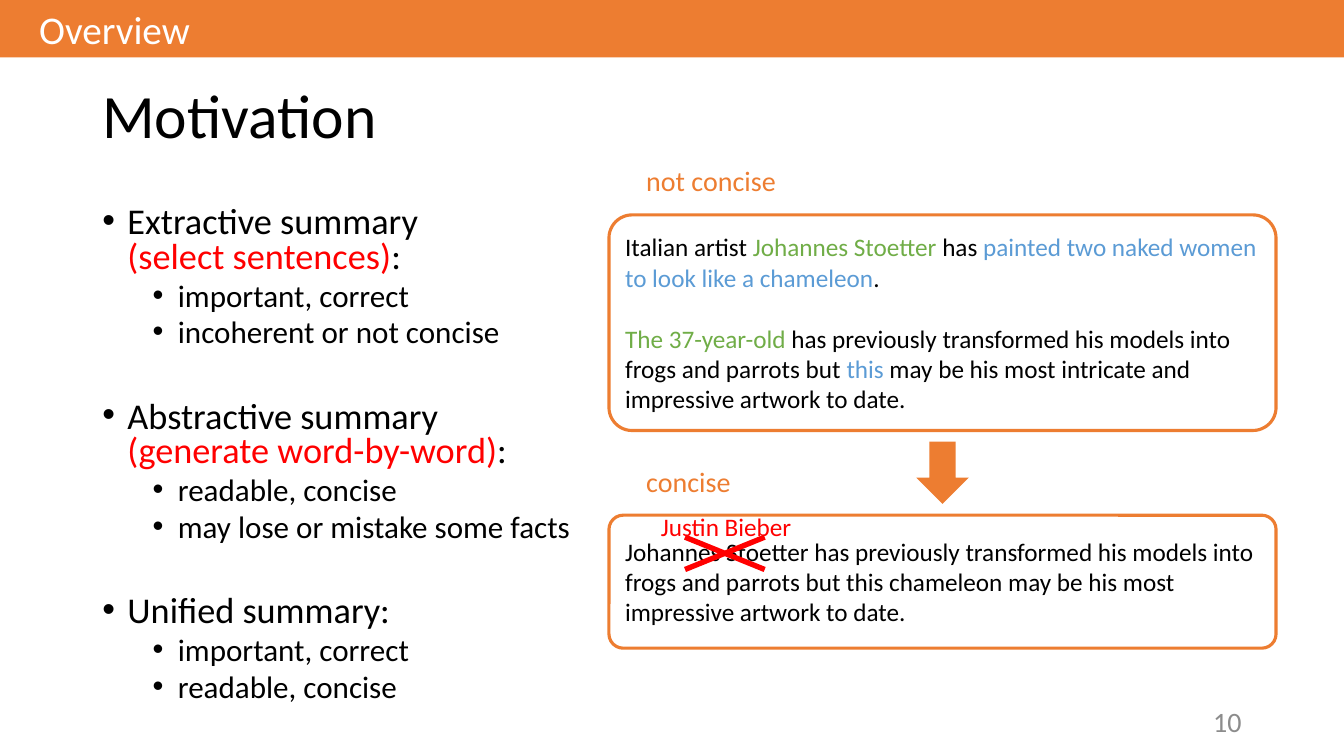
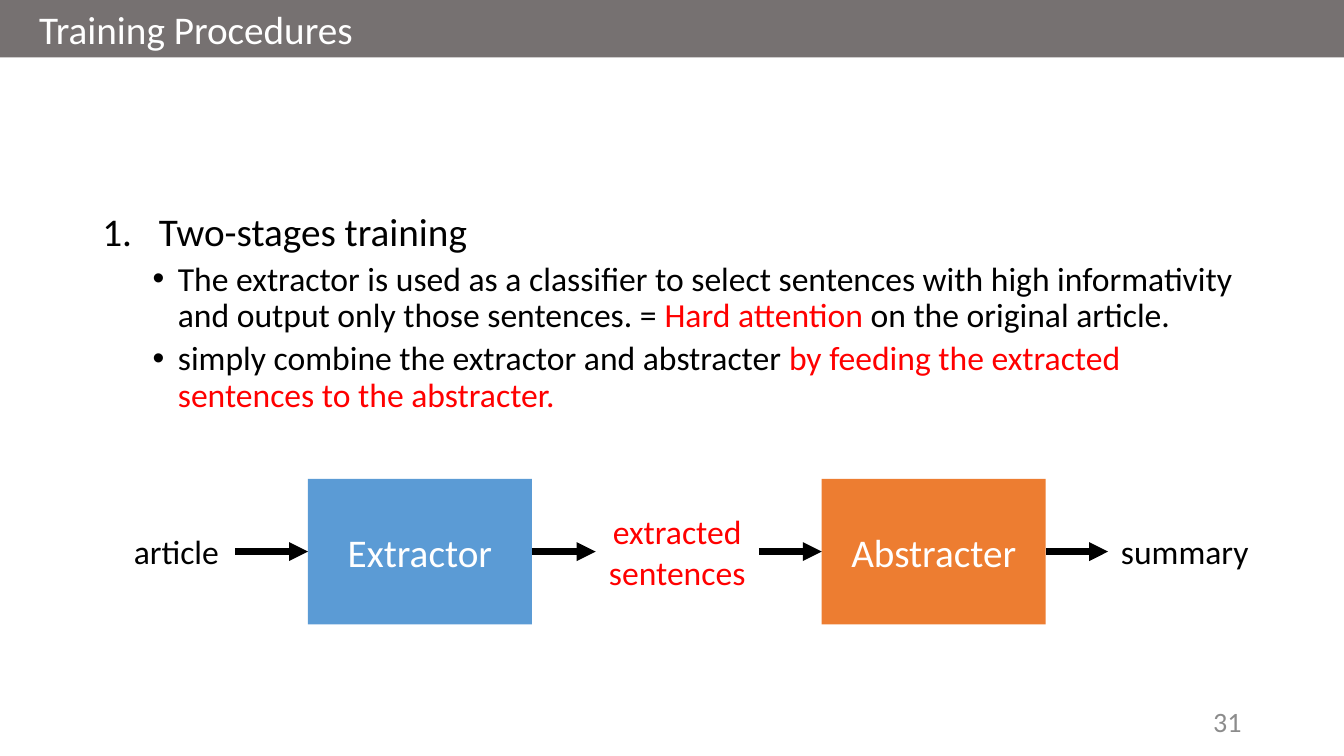
from lxml.etree import SubElement
from pptx import Presentation
from pptx.dml.color import RGBColor
from pptx.enum.shapes import MSO_CONNECTOR, MSO_SHAPE
from pptx.enum.text import MSO_ANCHOR, PP_ALIGN
from pptx.oxml.ns import qn
from pptx.util import Pt

FONT = "Calibri"
COLORS = {
    "black": "000000", "white": "FFFFFF", "red": "FF0000", "orange": "ED7D31",
    "blue": "5B9BD5", "green": "70AD47", "gray": "767171", "number": "8C8C8C",
}
WIDTH, HEIGHT = 960, 540

# Content: a paragraph is a string or a list of strings and (text, color) runs
SUMMARY_TYPES = [
    (["Extractive summary\n", ("(select sentences)", "red"), ":"],
     ["important, correct", "incoherent or not concise"]),
    (["Abstractive summary\n", ("(generate word-by-word)", "red"), ":"],
     ["readable, concise", "may lose or mistake some facts"]),
    ("Unified summary:", ["important, correct", "readable, concise"]),
]
EXAMPLES = [
    # label, label top, box top, box height, paragraphs
    ("not concise", 113, 153.5, 154, [
        ["Italian artist ", ("Johannes Stoetter ", "green"), "has ",
         ("painted two naked women to look like a chameleon", "blue"), "."],
        [("The 37-year-old ", "green"),
         "has previously transformed his models into frogs and parrots but ",
         ("this", "blue"),
         " may be his most intricate and impressive artwork to date."],
    ]),
    ("concise", 328.5, 368, 95, [
        "Johannes Stoetter has previously transformed his models into frogs "
        "and parrots but this chameleon may be his most impressive artwork to date.",
    ]),
]
TRAINING = [
    ("Two-stages training", [
        ["The extractor is used as a classiﬁer to select sentences with high "
         "informativity and output only those sentences. = ",
         ("Hard attention ", "red"), "on the original article."],
        ["simply combine the extractor and abstracter ",
         ("by feeding the extracted sentences to the abstracter.", "red")],
    ]),
]
FLOW = [
    # text, left, width, height, fill, text color
    ("article", 84, 84, 36, None, "black"),
    ("Extractor", 220, 160, 104, "blue", "white"),
    ("extracted sentences", 425.5, 116.5, 66, None, "red"),
    ("Abstracter", 587, 160, 104, "orange", "white"),
    ("summary", 791.5, 109.5, 36, None, "black"),
]
FLOW_MIDDLE = 394


def rgb(name):
    return RGBColor.from_string(COLORS[name])


def set_bullet(paragraph, bullet, left, hanging):
    properties = paragraph._p.get_or_add_pPr()
    properties.set("marL", str(Pt(left)))
    properties.set("indent", str(-Pt(hanging)))
    SubElement(properties, qn("a:buFont")).set("typeface", "Arial" if bullet == "•" else FONT)
    if bullet == "1.":
        SubElement(properties, qn("a:buAutoNum")).set("type", "arabicPeriod")
    else:
        SubElement(properties, qn("a:buChar")).set("char", bullet)


def add_text(frame, content, size=18, color="black", align=PP_ALIGN.LEFT,
             first=False, before=0, spacing=None, level=0, bullet=None):
    """Write one paragraph into a text frame; first reuses the existing one."""
    paragraph = frame.paragraphs[0] if first else frame.add_paragraph()
    paragraph.alignment, paragraph.level = align, level
    paragraph.space_before = Pt(before)
    if spacing:
        paragraph.line_spacing = spacing
    if bullet:
        set_bullet(paragraph, *bullet)
    for item in [content] if isinstance(content, str) else content:
        text, run_color = (item, color) if isinstance(item, str) else item
        for index, part in enumerate(text.split("\n")):
            if index:
                paragraph.add_line_break()
            if part:
                run = paragraph.add_run()
                run.text = part
                run.font.name, run.font.size = FONT, Pt(size)
                run.font.color.rgb = rgb(run_color)


def add_box(slide, left, top, width, height, anchor=MSO_ANCHOR.TOP):
    box = slide.shapes.add_textbox(Pt(left), Pt(top), Pt(width), Pt(height))
    box.text_frame.word_wrap = True
    box.text_frame.vertical_anchor = anchor
    return box


def add_shape(slide, kind, left, top, width, height, fill=None, line=None, adjust=None):
    shape = slide.shapes.add_shape(kind, Pt(left), Pt(top), Pt(width), Pt(height))
    shape.shadow.inherit = False
    if fill:
        shape.fill.solid()
        shape.fill.fore_color.rgb = rgb(fill)
    else:
        shape.fill.background()
    if line:
        shape.line.color.rgb, shape.line.width = rgb(line), Pt(2.25)
    else:
        shape.line.fill.background()
    if adjust:
        shape.adjustments[0] = adjust
    return shape


def add_arrow(slide, source, target):
    arrow = slide.shapes.add_connector(MSO_CONNECTOR.STRAIGHT, 0, 0, 0, 0)
    arrow.begin_connect(source, 3)
    arrow.end_connect(target, 1)
    arrow.line.color.rgb, arrow.line.width = rgb("black"), Pt(4.5)
    SubElement(arrow.line._get_or_add_ln(), qn("a:tailEnd")).set("type", "triangle")
    SubElement(arrow._element.spPr, qn("a:effectLst"))


def add_outline(slide, top, height, groups, sizes, spacing, bullet, group_gap=0):
    """Headings with bulleted points below each."""
    frame = add_box(slide, 66, top, 828, height).text_frame
    for index, (heading, points) in enumerate(groups):
        add_text(frame, heading, size=sizes[0], first=index == 0, spacing=spacing,
                 before=10 + (group_gap if index else 0), bullet=bullet)
        for point in points:
            add_text(frame, point, size=sizes[1], before=5, spacing=spacing,
                     level=1, bullet=("•", 54, 18))


def add_slide(presentation, section, band_color, number):
    """Blank slide with the section band and the page number."""
    slide = presentation.slides.add_slide(presentation.slide_layouts[6])
    band = add_shape(slide, MSO_SHAPE.RECTANGLE, 0, 0, WIDTH, 41, fill=band_color)
    frame = band.text_frame
    frame.margin_left = frame.margin_right = Pt(28)
    frame.vertical_anchor = MSO_ANCHOR.TOP
    add_text(frame, section, size=28, color="white", first=True)
    footer = add_box(slide, 678, 500.5, 216, 29, MSO_ANCHOR.MIDDLE)
    add_text(footer.text_frame, number, size=20, color="number",
             align=PP_ALIGN.RIGHT, first=True)
    return slide


def build_motivation(presentation):
    slide = add_slide(presentation, "Overview", "orange", "10")
    title = add_box(slide, 66, 52, 828, 66, MSO_ANCHOR.MIDDLE)
    add_text(title.text_frame, "Motivation", size=44, spacing=0.9, first=True)
    add_outline(slide, 144, 377, SUMMARY_TYPES, (25.9, 22.2), 0.8, ("•", 18, 18),
                group_gap=26.7)

    # Labelled example boxes
    corner = 0.107
    for label, label_top, top, height, paragraphs in EXAMPLES:
        caption = add_box(slide, 454.5, label_top, 120, 31.5)
        add_text(caption.text_frame, label, size=20, color="orange", first=True)
        box = add_shape(slide, MSO_SHAPE.ROUNDED_RECTANGLE, 435, top, 476.5, height,
                        line="orange", adjust=corner)
        frame = box.text_frame
        frame.word_wrap = True
        frame.vertical_anchor = MSO_ANCHOR.MIDDLE
        # The rounded corner already insets the text by 0.29 of its radius
        frame.margin_left = frame.margin_right = Pt(11.5 - 0.29 * corner * height)
        for index, content in enumerate(paragraphs):
            add_text(frame, content, first=index == 0, before=22 if index else 0)
    add_shape(slide, MSO_SHAPE.DOWN_ARROW, 654.5, 315.5, 37.5, 44.5, fill="orange")

    # Mistaken name
    add_shape(slide, MSO_SHAPE.MATH_MULTIPLY, 463, 373, 109.5, 44.5,
              fill="red", adjust=0.086)
    wrong_name = add_box(slide, 465, 361.5, 120, 29)
    add_text(wrong_name.text_frame, "Justin Bieber", color="red", first=True)


def build_training(presentation):
    slide = add_slide(presentation, "Training Procedures", "gray", "31")
    add_outline(slide, 148.5, 316, TRAINING, (28, 24), 0.9, ("1.", 40.5, 40.5))

    # Flow from article to summary
    steps = []
    for text, left, width, height, fill, color in FLOW:
        place = (left, FLOW_MIDDLE - height / 2, width, height)
        if fill:
            step = add_shape(slide, MSO_SHAPE.RECTANGLE, *place, fill=fill)
        else:
            step = add_box(slide, *place, MSO_ANCHOR.MIDDLE)
        add_text(step.text_frame, text, size=28 if fill else 24, color=color,
                 align=PP_ALIGN.CENTER, first=True)
        steps.append(step)
    for source, target in zip(steps, steps[1:]):
        add_arrow(slide, source, target)


def main():
    presentation = Presentation()
    presentation.slide_width, presentation.slide_height = Pt(WIDTH), Pt(HEIGHT)
    build_motivation(presentation)
    build_training(presentation)
    presentation.save("out.pptx")


if __name__ == "__main__":
    main()
